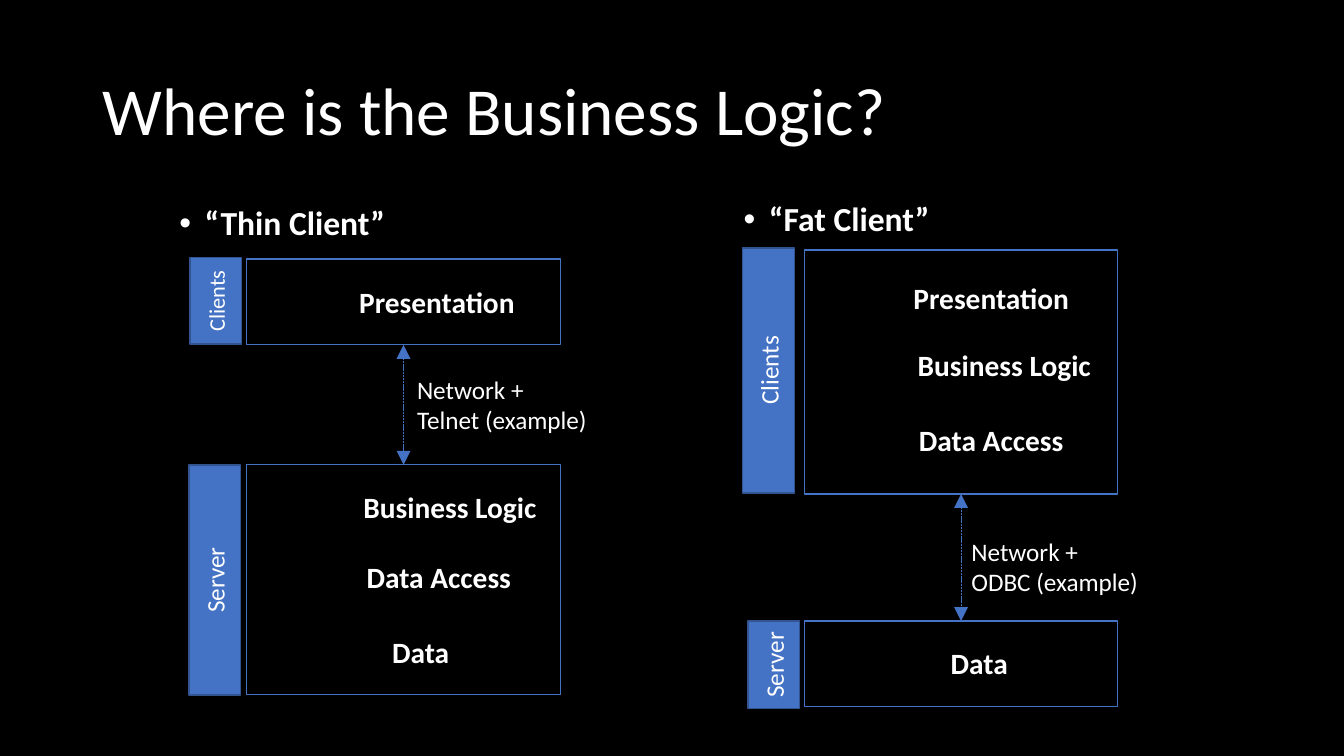
from lxml.etree import SubElement
from pptx import Presentation
from pptx.dml.color import RGBColor
from pptx.enum.dml import MSO_LINE
from pptx.enum.shapes import MSO_CONNECTOR, MSO_SHAPE
from pptx.enum.text import MSO_ANCHOR, PP_ALIGN
from pptx.oxml.ns import qn
from pptx.util import Cm, Pt

# Content; lengths in cm
COLORS = {"back": "000000", "text": "FFFFFF", "blue": "4472C4", "edge": "325491"}
FONT = "Calibri"
TITLE = "Where is the Business Logic?"
FRAME_W, BAR_W, LABEL_W, LABEL_H = 7.9, 1.3, 5, 0.76

# tier: (frame top, height), bar (name, left, top, length, size),
#       labels (text, centre x, top)
DIAGRAMS = [
    {"heading": ("“Thin Client”", 4.27, 5.08), "left": 6.22,
     "note": (["Network +", "Telnet (example)"], 10.26, 9.3),
     "tiers": [
         {"frame": (6.53, 2.16), "bar": ("Clients", 4.79, 6.49, 2.18, 16),
          "labels": [("Presentation", 11.01, 7.26)]},
         {"frame": (11.71, 5.79), "bar": ("Server", 4.76, 11.72, 5.79, 18),
          "labels": [("Business Logic", 11.34, 12.42),
                     ("Data Access", 11.06, 14.2),
                     ("Data", 10.6, 16.08)]}]},
    {"heading": ("“Fat Client”", 18.49, 4.98), "left": 20.27,
     "note": (["Network +", "ODBC (example)"], 24.23, 13.39),
     "tiers": [
         {"frame": (6.3, 6.15), "bar": ("Clients", 18.72, 6.25, 6.17, 18),
          "labels": [("Presentation", 24.98, 7.16),
                     ("Business Logic", 25.31, 8.84),
                     ("Data Access", 24.98, 10.74)]},
         {"frame": (15.65, 2.16), "bar": ("Server", 18.85, 15.65, 2.21, 18),
          "labels": [("Data", 24.68, 16.36)]}]},
]

prs = Presentation()
prs.slide_width, prs.slide_height = Cm(33.87), Cm(19.05)
s = prs.slides.add_slide(prs.slide_layouts[6])


def rgb(name):
    return RGBColor.from_string(COLORS[name])


def add_run(p, text, size, bold=False):
    r = p.add_run()
    r.text = text
    r.font.name, r.font.size, r.font.bold = FONT, Pt(size), bold
    r.font.color.rgb = rgb("text")


def add_text(lines, x, y, w, h, size, bold=False, spacing=0.9, wrap=True):
    tf = s.shapes.add_textbox(Cm(x), Cm(y), Cm(w), Cm(h)).text_frame
    tf.word_wrap = wrap
    p = tf.paragraphs[0]
    p.line_spacing = spacing
    for i, line in enumerate(lines):
        if i:
            p.add_line_break()
        add_run(p, line, size, bold)
    return tf


def add_rect(x, y, w, h, line, fill=None):
    sp = s.shapes.add_shape(MSO_SHAPE.RECTANGLE, Cm(x), Cm(y), Cm(w), Cm(h))
    sp.shadow.inherit = False
    if fill:
        sp.fill.solid()
        sp.fill.fore_color.rgb = rgb(fill)
    else:
        sp.fill.background()
    sp.line.color.rgb = rgb(line)
    sp.line.width = Pt(1)
    return sp


def add_heading(text, x, y):
    p = add_text([text], x, y, 9.9, 2.29, 24, bold=True).paragraphs[0]
    pPr = p._p.get_or_add_pPr()
    pPr.set("marL", str(Cm(0.64)))
    pPr.set("indent", str(-Cm(0.64)))
    SubElement(pPr, qn("a:buFont")).set("typeface", "Arial")
    SubElement(pPr, qn("a:buChar")).set("char", "•")


def add_bar(name, x, y, length, size):
    # Lay the bar flat around its centre, then turn it upright
    shift = (length - BAR_W) / 2
    sp = add_rect(x - shift, y + shift, length, BAR_W, "edge", "blue")
    sp.rotation = 270
    tf = sp.text_frame
    tf.word_wrap = True
    tf.vertical_anchor = MSO_ANCHOR.MIDDLE
    tf.paragraphs[0].alignment = PP_ALIGN.CENTER
    add_run(tf.paragraphs[0], name, size)


def add_label(text, center, y):
    tf = add_text([text], center - LABEL_W / 2, y, LABEL_W, LABEL_H, 21, bold=True)
    tf.margin_left = tf.margin_right = tf.margin_top = tf.margin_bottom = 0
    tf.paragraphs[0].alignment = PP_ALIGN.CENTER


def add_link(x, top, bottom):
    c = s.shapes.add_connector(MSO_CONNECTOR.STRAIGHT, Cm(x), Cm(top), Cm(x), Cm(bottom))
    c.line.color.rgb = rgb("blue")
    c.line.width = Pt(0.5)
    c.line.dash_style = MSO_LINE.SQUARE_DOT
    ln = c.line._get_or_add_ln()
    for end in ("a:headEnd", "a:tailEnd"):
        SubElement(ln, qn(end), type="triangle", w="lg", len="lg")
    SubElement(c._element.spPr, qn("a:effectLst"))


# Background and title
s.background.fill.solid()
s.background.fill.fore_color.rgb = rgb("back")
title = add_text([TITLE], 2.34, 1.02, 29.21, 3.68, 48)
title.vertical_anchor = MSO_ANCHOR.MIDDLE

# Client and server diagrams
for d in DIAGRAMS:
    add_heading(*d["heading"])
    for tier in d["tiers"]:
        top, height = tier["frame"]
        add_rect(d["left"], top, FRAME_W, height, "blue")
        add_bar(*tier["bar"])
        for label in tier["labels"]:
            add_label(*label)

    # Network link between the two tiers
    (top, height), (bottom, _) = [tier["frame"] for tier in d["tiers"]]
    add_link(d["left"] + FRAME_W / 2, top + height, bottom)
    lines, x, y = d["note"]
    add_text(lines, x, y, 4.85, 1.8, 18, spacing=1, wrap=False)

prs.save("out.pptx")
